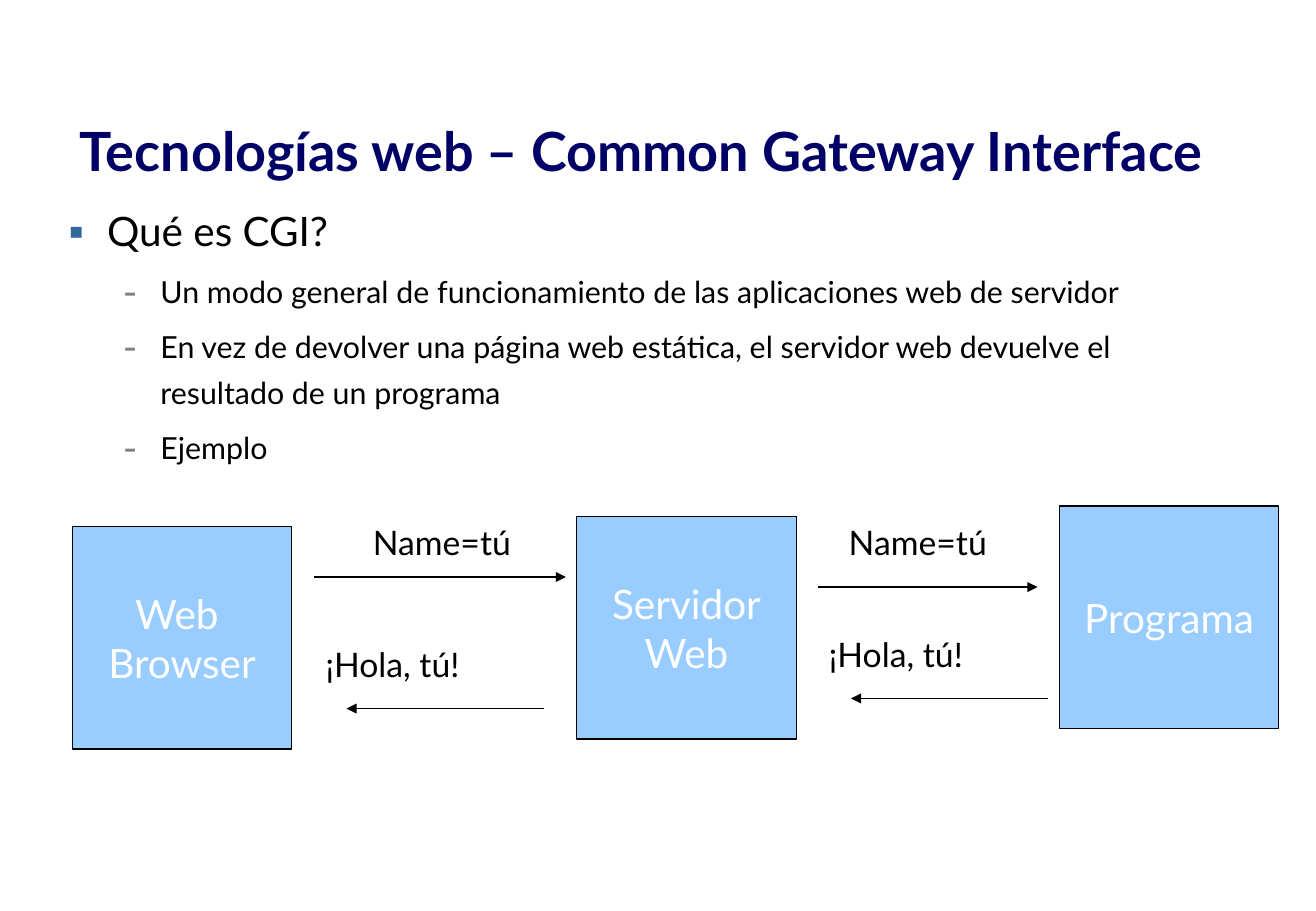
"""Build the slide on CGI: title, bullets and a request flow diagram."""
from lxml.etree import SubElement
from pptx import Presentation
from pptx.dml.color import RGBColor
from pptx.enum.shapes import MSO_CONNECTOR, MSO_SHAPE
from pptx.enum.text import MSO_ANCHOR, MSO_AUTO_SIZE, PP_ALIGN
from pptx.oxml.ns import qn
from pptx.util import Inches, Pt

HUES = {"title": "000066", "ink": "000000", "box": "99CCFF",
        "label": "FFFFFF", "square": "336699", "dash": "808080"}

deck = Presentation()
deck.slide_width, deck.slide_height = Inches(10.84), Inches(7.5)
slide = deck.slides.add_slide(deck.slide_layouts[6])
shapes = slide.shapes
COL, ROW = deck.slide_width / 120, deck.slide_height / 90


def place(*cells):
    """Turn grid columns and rows into lengths."""
    return [round(n * (ROW if i % 2 else COL)) for i, n in enumerate(cells)]


def write(para, text, size, hue, bold=False):
    """Add one styled run to a paragraph."""
    run = para.add_run()
    run.text = text
    run.font.name, run.font.size, run.font.bold = "Lato", Pt(size), bold
    run.font.color.rgb = RGBColor.from_string(HUES[hue])


title = shapes.add_textbox(*place(6.2, 9.12, 107.7, 11.4)).text_frame
title.word_wrap = True
title.vertical_anchor = MSO_ANCHOR.MIDDLE
write(title.paragraphs[0], "Tecnologías web – Common Gateway Interface",
      32, "title", True)

body = shapes.add_textbox(*place(5, 18.6, 107.9, 62.4)).text_frame
body.word_wrap = True
body.margin_left = body.margin_right = Inches(0.05)
body.margin_top = body.margin_bottom = Inches(0.05)
LEVELS = [
    {"size": 24, "gap": 15, "left": 0.38, "hang": -0.32,
     "mark": "▪", "hue": "square", "scale": 100},
    {"size": 18, "gap": 5.6, "left": 0.82, "hang": -0.31,
     "mark": "-", "hue": "dash", "scale": 130},
]
POINTS = [
    (0, "Qué es CGI?"),
    (1, "Un modo general de funcionamiento de las aplicaciones web de servidor"),
    (1, "En vez de devolver una página web estática, el servidor web devuelve "
        "el resultado de un programa"),
    (1, "Ejemplo"),
]
for i, (depth, text) in enumerate(POINTS):
    style = LEVELS[depth]
    para = body.add_paragraph() if i else body.paragraphs[0]
    para.level = depth
    para.line_spacing, para.space_before = 1.25, Pt(style["gap"])
    write(para, text, style["size"], "ink")
    props = para._p.get_or_add_pPr()
    props.set("marL", str(Inches(style["left"])))
    props.set("indent", str(Inches(style["hang"])))
    tint = SubElement(props, qn("a:buClr"))
    SubElement(tint, qn("a:srgbClr"), val=HUES[style["hue"]])
    SubElement(props, qn("a:buSzPct"), val=str(style["scale"] * 1000))
    SubElement(props, qn("a:buFont"), typeface="Lato")
    SubElement(props, qn("a:buChar"), char=style["mark"])

BOXES = [(6.6, 52, [["Web "], ["Browser"]]),
         (52.6, 51, [["Servidor", "Web"]]),
         (96.6, 50, [["Programa"]])]
for left, top, paras in BOXES:
    box = shapes.add_shape(MSO_SHAPE.RECTANGLE, *place(left, top, 20, 22))
    box.shadow.inherit = False
    box.fill.solid()
    box.fill.fore_color.rgb = RGBColor.from_string(HUES["box"])
    box.line.color.rgb = RGBColor.from_string(HUES["ink"])
    box.line.width = Pt(0.75)
    frame = box.text_frame
    frame.word_wrap = False
    frame.vertical_anchor = MSO_ANCHOR.MIDDLE
    for i, lines in enumerate(paras):
        para = frame.add_paragraph() if i else frame.paragraphs[0]
        para.alignment = PP_ALIGN.CENTER
        for j, text in enumerate(lines):
            if j:
                para.add_line_break()
            write(para, text, 24, "label")

ARROWS = [(28.6, 51.6, 57), (74.6, 94.6, 58),
          (95.6, 77.6, 69), (49.6, 31.6, 70)]
for start, end, row in ARROWS:
    arrow = shapes.add_connector(MSO_CONNECTOR.STRAIGHT,
                                 *place(start, row, end, row))
    arrow.line.color.rgb = RGBColor.from_string(HUES["ink"])
    arrow.line.width = Pt(0.75)
    SubElement(arrow.line._get_or_add_ln(), qn("a:tailEnd"), type="triangle")
    SubElement(arrow._element.spPr, qn("a:effectLst"))

NOTES = [(32.9, 51, 15.6, "Name=tú"), (76.3, 51, 15.6, "Name=tú"),
         (28.6, 63, 15.2, "¡Hola, tú!"), (74.5, 62, 15.2, "¡Hola, tú!")]
for left, top, wide, text in NOTES:
    frame = shapes.add_textbox(*place(left, top, wide, 5.3)).text_frame
    frame.word_wrap = False
    frame.auto_size = MSO_AUTO_SIZE.SHAPE_TO_FIT_TEXT
    write(frame.paragraphs[0], text, 20, "ink")

deck.save("out.pptx")
